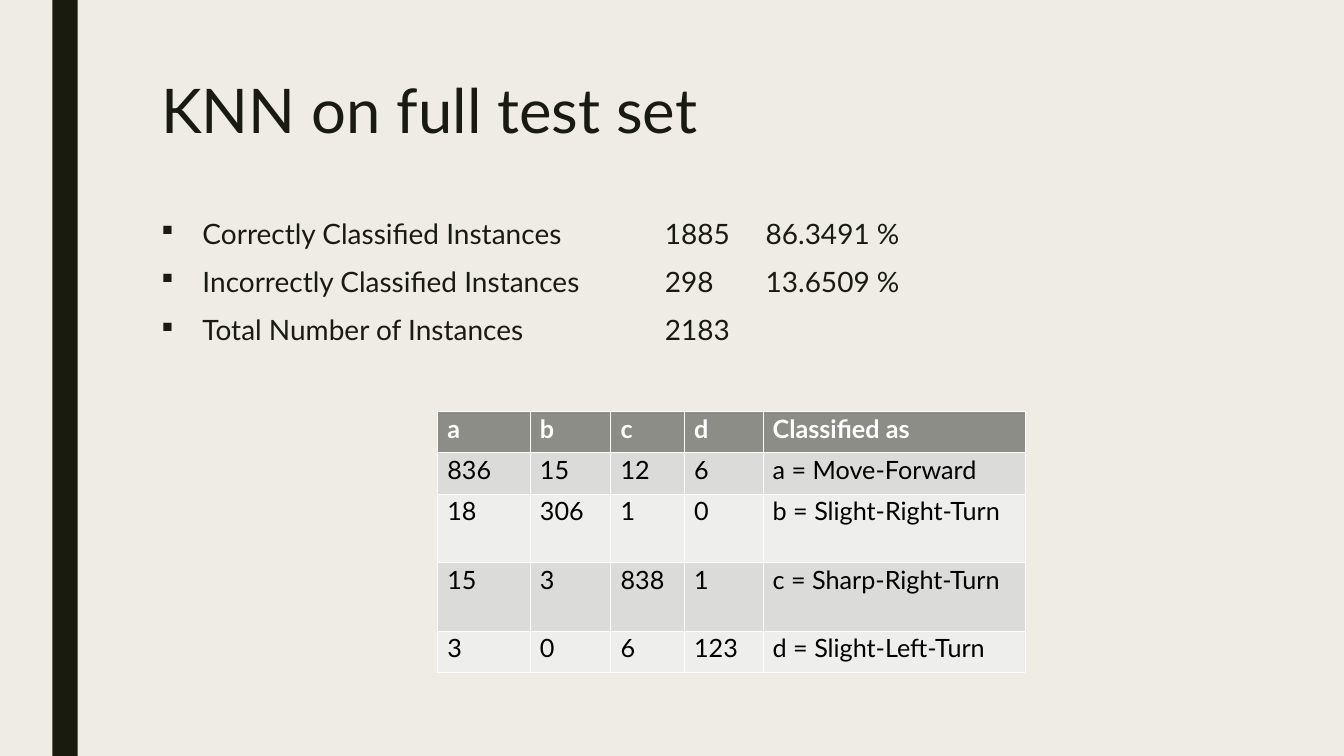
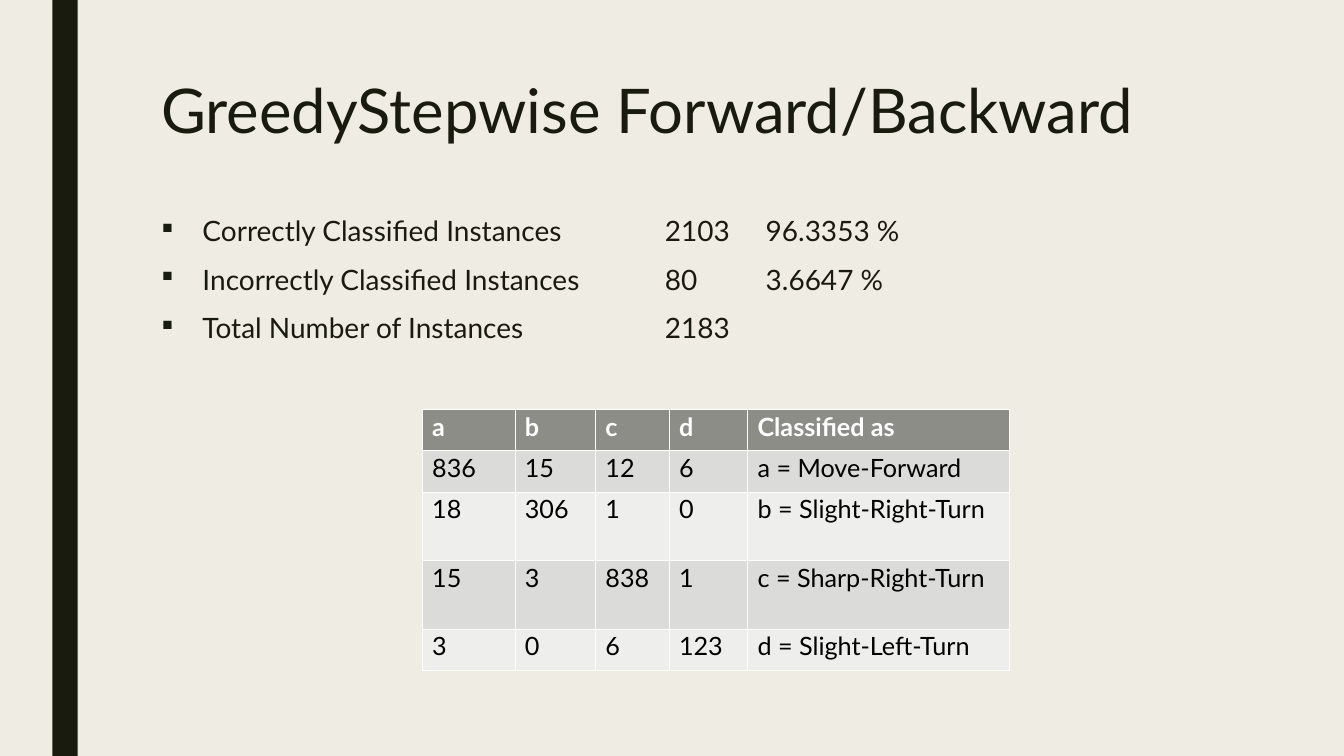
from dataclasses import dataclass

from lxml.etree import SubElement
from pptx import Presentation
from pptx.dml.color import RGBColor
from pptx.enum.shapes import MSO_SHAPE, PP_PLACEHOLDER
from pptx.enum.text import MSO_ANCHOR, MSO_AUTO_SIZE, PP_ALIGN
from pptx.oxml.ns import qn
from pptx.util import Inches, Pt


@dataclass(frozen=True)
class Theme:
    font: str = "Lato"
    bullet_font: str = "Wingdings"
    background: str = "EFEDE3"
    ink: str = "191B0E"
    white: str = "FFFFFF"
    cell_text: str = "000000"
    header_fill: str = "8C8D86"
    band_fills: tuple = ("DBDBD9", "EEEEED")
    title_size: int = 44
    body_size: int = 20
    table_size: int = 18
    thin_border: float = 0.11
    header_border: float = 0.34


THEME = Theme()
LEFT, CONTENT_WIDTH = 1.5, 10.5
TITLE_BOX = (LEFT, 0.75, CONTENT_WIDTH, 1.63)
BODY_BOX = (LEFT, 2.12, CONTENT_WIDTH, 3.92)
COUNT_TAB, PERCENT_TAB = 5, 6
BULLET_INDENT = 0.41
COLUMN_WIDTHS = (0.92, 0.8, 0.73, 0.78, 2.6)
ROW_HEIGHTS = (0.41, 0.41, 0.68, 0.68, 0.41)
CONFUSION_MATRIX = (
    ("a", "b", "c", "d", "Classified as"),
    ("836", "15", "12", "6", "a = Move-Forward"),
    ("18", "306", "1", "0", "b = Slight-Right-Turn"),
    ("15", "3", "838", "1", "c = Sharp-Right-Turn"),
    ("3", "0", "6", "123", "d = Slight-Left-Turn"),
)
FOOTER_TYPES = (PP_PLACEHOLDER.DATE, PP_PLACEHOLDER.FOOTER, PP_PLACEHOLDER.SLIDE_NUMBER)


def rgb(color):
    return RGBColor.from_string(color)


def place(shape, left, top, width, height):
    shape.left, shape.top = Inches(left), Inches(top)
    shape.width, shape.height = Inches(width), Inches(height)


def format_runs(p, size, color, bold=False):
    for r in p.runs:
        r.font.name = THEME.font
        r.font.size = Pt(size)
        r.font.bold = bold
        r.font.color.rgb = rgb(color)


def prepare_frame(tf):
    tf.word_wrap = True
    tf.auto_size = MSO_AUTO_SIZE.NONE
    tf.vertical_anchor = MSO_ANCHOR.TOP


def prepare_template(prs):
    master, content_layout = prs.slide_master, prs.slide_layouts[1]
    for layout in list(prs.slide_layouts):
        if layout.name != content_layout.name:
            prs.slide_layouts.remove(layout)
    for owner in (master, content_layout):
        for sp in list(owner.placeholders):
            kind = sp.placeholder_format.type
            if kind in FOOTER_TYPES:
                owner.shapes.element.remove(sp.element)
            else:
                place(sp, *(TITLE_BOX if kind == PP_PLACEHOLDER.TITLE else BODY_BOX))
    fill = master.background.fill
    fill.solid()
    fill.fore_color.rgb = rgb(THEME.background)
    return content_layout


def add_master_band(prs, slide):
    band = slide.shapes.add_shape(
        MSO_SHAPE.RECTANGLE, Inches(0.52), 0, Inches(0.25), prs.slide_height)
    band.shadow.inherit = False
    band.fill.solid()
    band.fill.fore_color.rgb = rgb(THEME.ink)
    band.line.fill.background()
    band.element.nvSpPr.cNvPr.set("id", "20")
    prs.slide_master.shapes.element.insert(2, band.element)


def set_title(slide, text):
    title = slide.shapes.title
    tf = title.text_frame
    prepare_frame(tf)
    tf.text = text
    p = tf.paragraphs[0]
    p.alignment = PP_ALIGN.LEFT
    p.line_spacing = 0.89
    format_runs(p, THEME.title_size, THEME.ink)


def add_bullet_and_tabs(p):
    pPr = p._p.get_or_add_pPr()
    pPr.set("marL", str(Inches(BULLET_INDENT)))
    pPr.set("indent", str(-Inches(BULLET_INDENT)))
    SubElement(SubElement(pPr, qn("a:buClr")), qn("a:srgbClr"), val=THEME.ink)
    SubElement(pPr, qn("a:buFont"), typeface=THEME.bullet_font, charset="2")
    SubElement(pPr, qn("a:buChar"), char="§")
    tabs = SubElement(pPr, qn("a:tabLst"))
    for position in (COUNT_TAB, PERCENT_TAB):
        SubElement(tabs, qn("a:tab"), pos=str(Inches(position)), algn="l")


def set_results(slide, results, top, height):
    body = slide.placeholders[1]
    place(body, LEFT, top, CONTENT_WIDTH, height)
    tf = body.text_frame
    prepare_frame(tf)
    tf.text = "\n".join("\t".join(result) for result in results)
    for p in tf.paragraphs:
        p.line_spacing = 0.94
        p.space_before, p.space_after = Pt(10), Pt(2)
        add_bullet_and_tabs(p)
        format_runs(p, THEME.body_size, THEME.ink)


def set_borders(cell, row):
    widths = {
        "lnL": THEME.thin_border,
        "lnR": THEME.thin_border,
        "lnT": THEME.header_border if row == 1 else THEME.thin_border,
        "lnB": THEME.header_border if row == 0 else THEME.thin_border,
    }
    tcPr = cell._tc.get_or_add_tcPr()
    for side, width in widths.items():
        ln = SubElement(tcPr, qn(f"a:{side}"), w=str(Pt(width)))
        SubElement(SubElement(ln, qn("a:solidFill")), qn("a:srgbClr"), val=THEME.white)


def format_cell(cell, row, text):
    header = row == 0
    set_borders(cell, row)
    cell.fill.solid()
    cell.fill.fore_color.rgb = rgb(
        THEME.header_fill if header else THEME.band_fills[(row - 1) % 2])
    cell.text_frame.text = text
    p = cell.text_frame.paragraphs[0]
    p.line_spacing = 0.9
    format_runs(p, THEME.table_size,
                THEME.white if header else THEME.cell_text, bold=header)


def add_matrix(slide, left, top):
    table = slide.shapes.add_table(
        len(ROW_HEIGHTS), len(COLUMN_WIDTHS), Inches(left), Inches(top),
        Inches(sum(COLUMN_WIDTHS)), Inches(sum(ROW_HEIGHTS))).table
    table.horz_banding = False
    for column, width in zip(table.columns, COLUMN_WIDTHS):
        column.width = Inches(width)
    for row, height in zip(table.rows, ROW_HEIGHTS):
        row.height = Inches(height)
    for i, values in enumerate(CONFUSION_MATRIX):
        for j, text in enumerate(values):
            format_cell(table.cell(i, j), i, text)


def add_result_slide(prs, layout, title, correct, incorrect, body_top, body_height,
                     matrix_left, matrix_top):
    slide = prs.slides.add_slide(layout)
    set_title(slide, title)
    results = (
        ("Correctly Classified Instances", *correct),
        ("Incorrectly Classified Instances", *incorrect),
        ("Total Number of Instances", "2183"),
    )
    set_results(slide, results, body_top, body_height)
    add_matrix(slide, matrix_left, matrix_top)
    return slide


def main():
    prs = Presentation()
    prs.slide_width, prs.slide_height = Inches(13.34), Inches(7.5)
    layout = prepare_template(prs)
    slide = add_result_slide(
        prs, layout, "KNN on full test set",
        ("1885", "86.3491 %"), ("298", "13.6509 %"),
        body_top=2.12, body_height=3.92, matrix_left=4.34, matrix_top=4.08)
    add_master_band(prs, slide)
    add_result_slide(
        prs, layout, "GreedyStepwise Forward/Backward",
        ("2103", "96.3353 %"), ("80", "3.6647 %"),
        body_top=2.1, body_height=3.36, matrix_left=4.19, matrix_top=4.06)
    prs.save("out.pptx")


if __name__ == "__main__":
    main()
